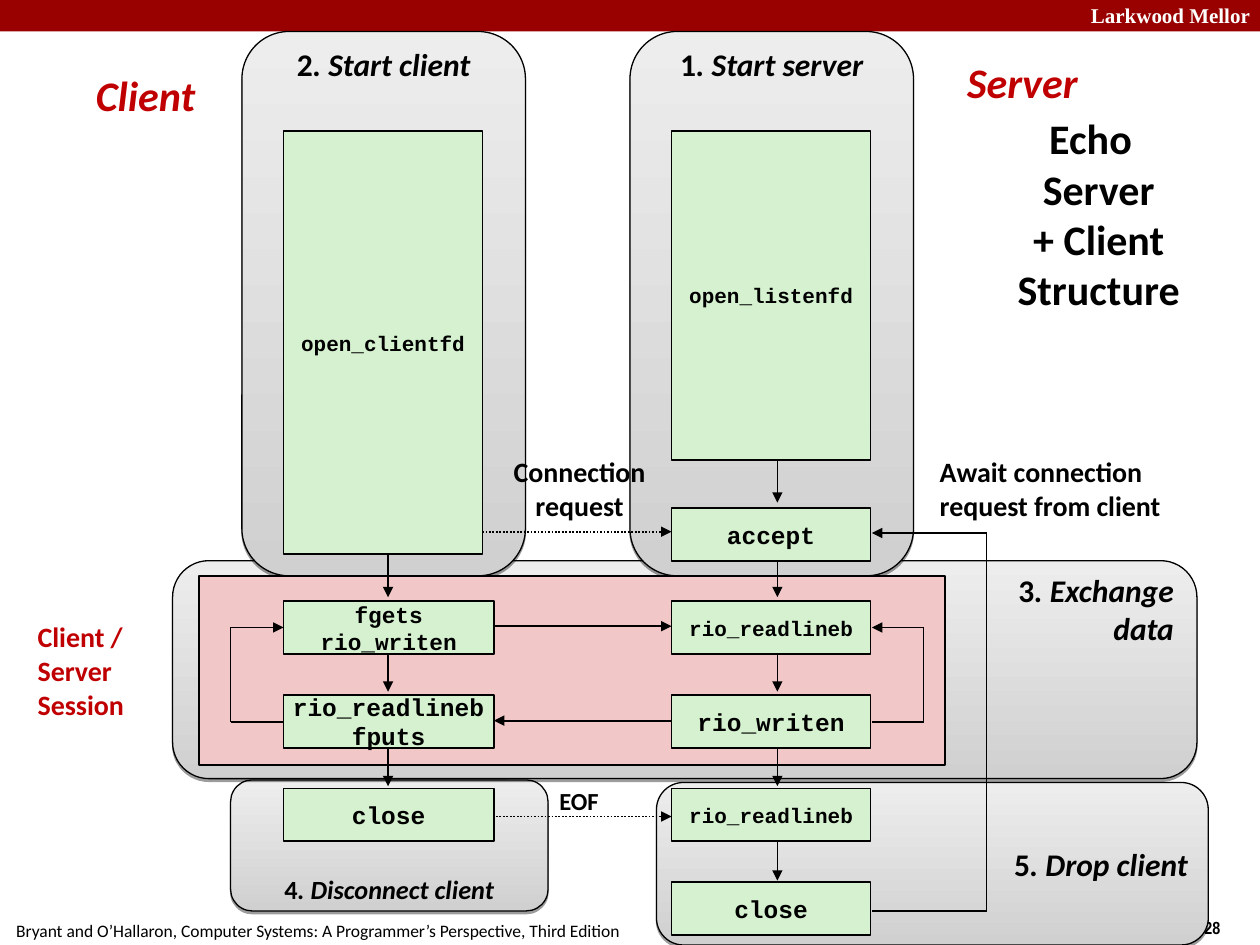
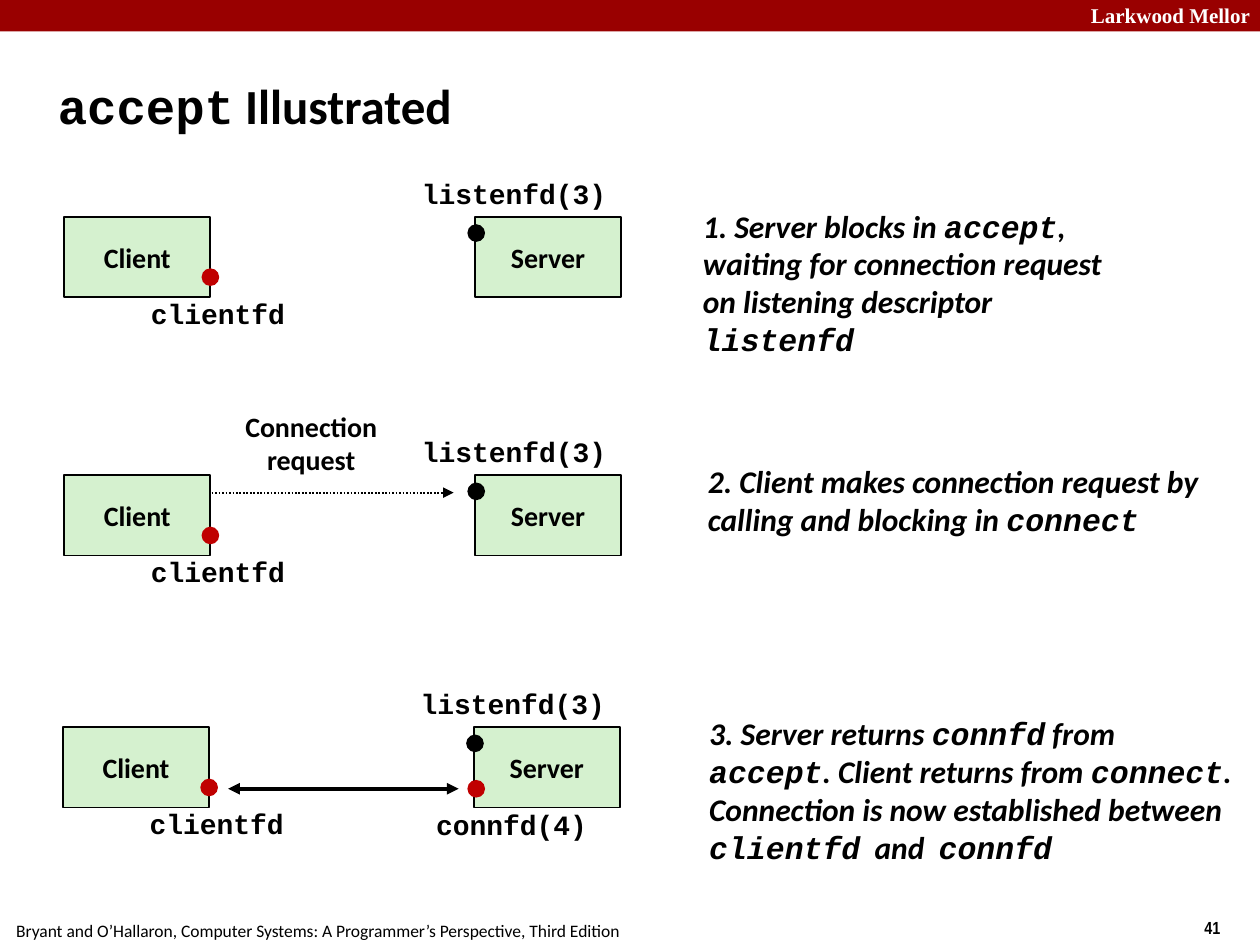
from lxml import etree
from pptx import Presentation
from pptx.dml.color import RGBColor
from pptx.enum import dml, shapes, text
from pptx.oxml import ns
from pptx.util import Inches, Pt

BLACK = RGBColor(0, 0, 0)
WHITE = RGBColor(255, 255, 255)
BAND = RGBColor(0x99, 0, 0)
RED = RGBColor(0xC0, 0, 0)
GREEN = RGBColor(0xD5, 0xF1, 0xCF)
PINK = RGBColor(0xF1, 0xC7, 0xC7)
DARK = RGBColor(0xD0, 0xD0, 0xD0)
LIGHT = RGBColor(0xED, 0xED, 0xED)

SANS, MONO = "Calibri", "Courier New"
KIND = shapes.MSO_SHAPE
LEFT, MID, RIGHT = text.PP_ALIGN.LEFT, text.PP_ALIGN.CENTER, text.PP_ALIGN.RIGHT
TOP, CENTER, BASE = (text.MSO_ANCHOR.TOP, text.MSO_ANCHOR.MIDDLE,
                     text.MSO_ANCHOR.BOTTOM)

CREDIT = ("Bryant and O’Hallaron, Computer Systems: "
          "A Programmer’s Perspective, Third Edition")


def write(frame, words, size, font=SANS, color=BLACK, align=MID, bold=True,
          italic=False, mark="mono"):
    """Fill a frame; words between backticks turn monospaced or italic."""
    frame.text = words.replace("`", "")
    for para, line in zip(frame.paragraphs, words.split("\n")):
        para.alignment = align
        if "`" in line:
            para.clear()
            for i, part in enumerate(line.split("`")):
                if part:
                    run = para.add_run()
                    run.text = part
                    style(run, size, MONO if i % 2 and mark == "mono" else font,
                          color, bold, italic or (i % 2 and mark == "italic"))
        else:
            for run in para.runs:
                style(run, size, font, color, bold, italic)


def style(run, size, font, color, bold, italic):
    face = run.font
    face.size, face.name = Pt(size), font
    face.bold, face.italic = bold, bool(italic)
    face.color.rgb = color


def label(sl, left, top, width, height, words, size, wrap=False,
          anchor=CENTER, align=MID, **look):
    """Text box; one that does not wrap gets spare room at its sides."""
    box = sl.shapes.add_textbox(*map(Inches, (left, top, width, height)))
    frame = box.text_frame
    frame.word_wrap, frame.vertical_anchor = wrap, anchor
    if not wrap:
        frame.margin_right = 0
        if align == MID:
            frame.margin_left = 0
    write(frame, words, size, align=align, **look)


def solid(sl, kind, left, top, width, height, fill, edge=True):
    shape = sl.shapes.add_shape(kind, *map(Inches, (left, top, width, height)))
    shape.shadow.inherit = False
    shape.fill.solid()
    shape.fill.fore_color.rgb = fill
    if edge:
        shape.line.color.rgb, shape.line.width = BLACK, Pt(1)
    else:
        shape.line.fill.background()
    return shape


def node(sl, left, top, width, height, words, size, font=MONO):
    shape = solid(sl, KIND.RECTANGLE, left, top, width, height, GREEN)
    frame = shape.text_frame
    frame.word_wrap, frame.vertical_anchor = False, CENTER
    write(frame, words, size, font)


def dot(sl, left, top, fill):
    solid(sl, KIND.OVAL, left, top, 0.14, 0.14, fill, edge=False)


def line(sl, start, end, ends="tailEnd", dotted=False, width=1):
    link = sl.shapes.add_connector(shapes.MSO_CONNECTOR.STRAIGHT,
                                   *map(Inches, (*start, *end)))
    link.line.color.rgb, link.line.width = BLACK, Pt(width)
    if dotted:
        link.line.dash_style = dml.MSO_LINE.ROUND_DOT
    stroke = link.line._get_or_add_ln()
    for tag in ends.split():
        etree.SubElement(stroke, ns.qn("a:" + tag), type="triangle")
    etree.SubElement(link._element.spPr, ns.qn("a:effectLst"))


def loop(sl, near, far, low, high, back):
    """Return path: out from near to far, up, then an arrow in to back."""
    line(sl, (near, low), (far, low), "")
    line(sl, (far, low), (far, high), "")
    line(sl, (far, high), (back, high))


def panel(sl, left, top, width, height, words, size=18, align=MID, anchor=TOP):
    shape = solid(sl, KIND.ROUNDED_RECTANGLE, left, top, width, height, LIGHT)
    shape.line.width = Pt(0.75)
    shape.fill.gradient()
    shape.fill.gradient_angle = 90
    for stop, color in zip(shape.fill.gradient_stops, (DARK, LIGHT)):
        stop.color.rgb = color
    glow = etree.SubElement(shape._element.spPr.find(ns.qn("a:effectLst")),
                            ns.qn("a:outerShdw"), blurRad="0",
                            dist=str(Pt(1.6)), dir="5400000", rotWithShape="0")
    tint = etree.SubElement(glow, ns.qn("a:srgbClr"), val="000000")
    etree.SubElement(tint, ns.qn("a:alpha"), val="38000")
    frame = shape.text_frame
    frame.margin_top = frame.margin_bottom = 0
    frame.vertical_anchor = anchor
    write(frame, words, size, align=align, mark="italic")


def start(deck, number, title, box, size, align):
    """New slide with the shared band, footers and title."""
    sl = deck.slides.add_slide(deck.slide_layouts[5])
    solid(sl, KIND.RECTANGLE, 0, 0, 10, 0.25, BAND, edge=False)
    label(sl, 8.4, -0.03, 1.62, 0.3, "Larkwood Mellor", 12, True, TOP,
          font="Times New Roman", color=WHITE, align=RIGHT)
    label(sl, 9.46, 7.23, 0.75, 0.27, number, 10, anchor=TOP,
          font="Arial Narrow", align=LEFT)
    label(sl, 0.03, 7.25, 4.98, 0.27, CREDIT, 10, anchor=TOP,
          align=LEFT, bold=False)
    head = sl.shapes.title
    head.left, head.top, head.width, head.height = map(Inches, box)
    frame = head.text_frame
    frame.auto_size = text.MSO_AUTO_SIZE.NONE
    frame.vertical_anchor = CENTER
    write(frame, title, size, align=align)
    prop = frame.paragraphs[0]._p.get_or_add_pPr()
    prop.set("marL", str(Inches(0.13)))
    prop.set("indent", str(Inches(-0.13)))
    return sl


def column(sl, left, top, mid, first, count, nodes):
    """Stack of calls, joined by evenly spaced arrows down the line at mid."""
    for i in range(count):
        y = first + 0.75 * i
        line(sl, (mid, y), (mid, y + 0.34))
    for row, (words, width, size) in nodes.items():
        node(sl, left, top + 2.97 * row / 4, width, 0.42, words, size)


def session(sl, left, top, width, height):
    solid(sl, KIND.RECTANGLE, left, top, width, height, PINK)
    low, high = top + 1.16, top + 0.41
    loop(sl, left + 5.34, left + 5.75, low, high, left + 5.34)
    loop(sl, left + 0.67, left + 0.25, low, high, left + 0.67)
    line(sl, (left + 2.34, top + 0.4), (left + 3.75, top + 0.4))
    line(sl, (left + 3.75, top + 1.15), (left + 2.34, top + 1.15))
    label(sl, left - 1.38, top + 0.3, 1.22, 0.9, "Client / Server\nSession",
          16, True, color=RED, align=LEFT)


def structure(deck):
    sl = start(deck, "28", "Echo\vServer\v+ Client\vStructure",
               (7.49, 1.04, 2.33, 1.31), 24, MID)
    panel(sl, 5.21, 6.21, 4.38, 1.29, "5`. Drop client`", 18, RIGHT, CENTER)
    panel(sl, 1.83, 6.19, 2.52, 1.04, "4`. Disconnect client`", 15, MID, BASE)
    panel(sl, 1.37, 4.45, 8.13, 1.73, "3`. Exchange`\n`data`", align=RIGHT)
    panel(sl, 1.92, 0.25, 2.25, 4.32, "2`. Start client`")
    panel(sl, 5, 0.25, 2.25, 4.32, "1`. Start server`")
    session(sl, 1.58, 4.57, 5.92, 1.5)
    for words, left, top, width in (("Client", 0.66, 0.5, 0.99),
                                    ("Server", 7.58, 0.4, 1.07)):
        label(sl, left, top, width, 0.5, words, 24, color=RED, italic=True)
    for y in (4.22, 6.48):
        line(sl, (3.33, y), (5.33, y), dotted=True)
    label(sl, 3.98, 3.56, 1.24, 0.63, "Connection\nrequest", 16)
    label(sl, 4.34, 6.19, 0.51, 0.33, "EOF", 14)
    label(sl, 7.36, 3.56, 1.95, 0.63, "Await connection\nrequest from client",
          16, align=LEFT)
    loop(sl, 6.92, 7.83, 7.23, 4.23, 6.92)
    column(sl, 2.25, 4.03, 3.08, 4.4, 3, {
        1: ("fgets\nrio_writen", 1.67, 13),
        2: ("rio_readlineb\nfputs", 1.67, 14),
        3: ("close", 1.67, 14)})
    column(sl, 5.33, 4.03, 6.17, 3.65, 5, {
        0: ("accept", 1.58, 14),
        1: ("rio_readlineb", 1.58, 12),
        2: ("rio_writen", 1.58, 14),
        3: ("rio_readlineb", 1.58, 12),
        4: ("close", 1.58, 14)})
    node(sl, 5.33, 1.04, 1.58, 2.61, "open_listenfd", 12)
    node(sl, 2.25, 1.04, 1.58, 3.36, "open_clientfd", 12)


def scene(sl, left, top, words, box):
    """Client and server with their descriptors, and the step at the right."""
    for x, name in ((0, "Client"), (3.26, "Server")):
        node(sl, left + x, top, 1.16, 0.64, name, 16, SANS)
    label(sl, left + 2.74, top - 0.37, 1.66, 0.37, "listenfd(3)", 16, font=MONO)
    label(sl, left + 0.59, top + 0.58, 1.26, 0.37, "clientfd", 16, font=MONO)
    dot(sl, left + 1.09, top + 0.41, RED)
    dot(sl, left + 3.2, top + 0.06, BLACK)
    x, y, width, height = box
    label(sl, left + x, top + y, width, height, words, 18, True,
          align=LEFT, italic=True)


def illustrated(deck):
    sl = start(deck, "41", "`accept` Illustrated", (0.36, 0.52, 9.17, 0.63),
               28, LEFT)
    scene(sl, 0.51, 1.72, "1. Server blocks in `accept`, waiting for connection "
          "request on listening descriptor `listenfd`", (4.97, -0.13, 3.6, 1.3))
    scene(sl, 0.51, 3.77, "2. Client makes connection request by calling and "
          "blocking in `connect`", (5.01, -0.15, 4.23, 0.7))
    line(sl, (1.68, 3.91), (3.6, 3.91), dotted=True)
    label(sl, 1.85, 3.2, 1.24, 0.63, "Connection\nrequest", 16)
    scene(sl, 0.5, 5.77, "3. Server returns `connfd` from `accept`. Client "
          "returns from `connect`. Connection is now established between "
          "`clientfd`  and  `connfd`", (5.03, -0.15, 4.39, 1.3))
    dot(sl, 3.71, 6.19, RED)
    label(sl, 3.36, 6.36, 1.4, 0.37, "connfd(4)", 16, font=MONO)
    line(sl, (1.81, 6.26), (3.64, 6.26), "headEnd tailEnd", width=2.25)


def main():
    deck = Presentation()
    deck.slide_width, deck.slide_height = Inches(10), Inches(7.5)
    structure(deck)
    illustrated(deck)
    deck.save("out.pptx")


if __name__ == "__main__":
    main()
